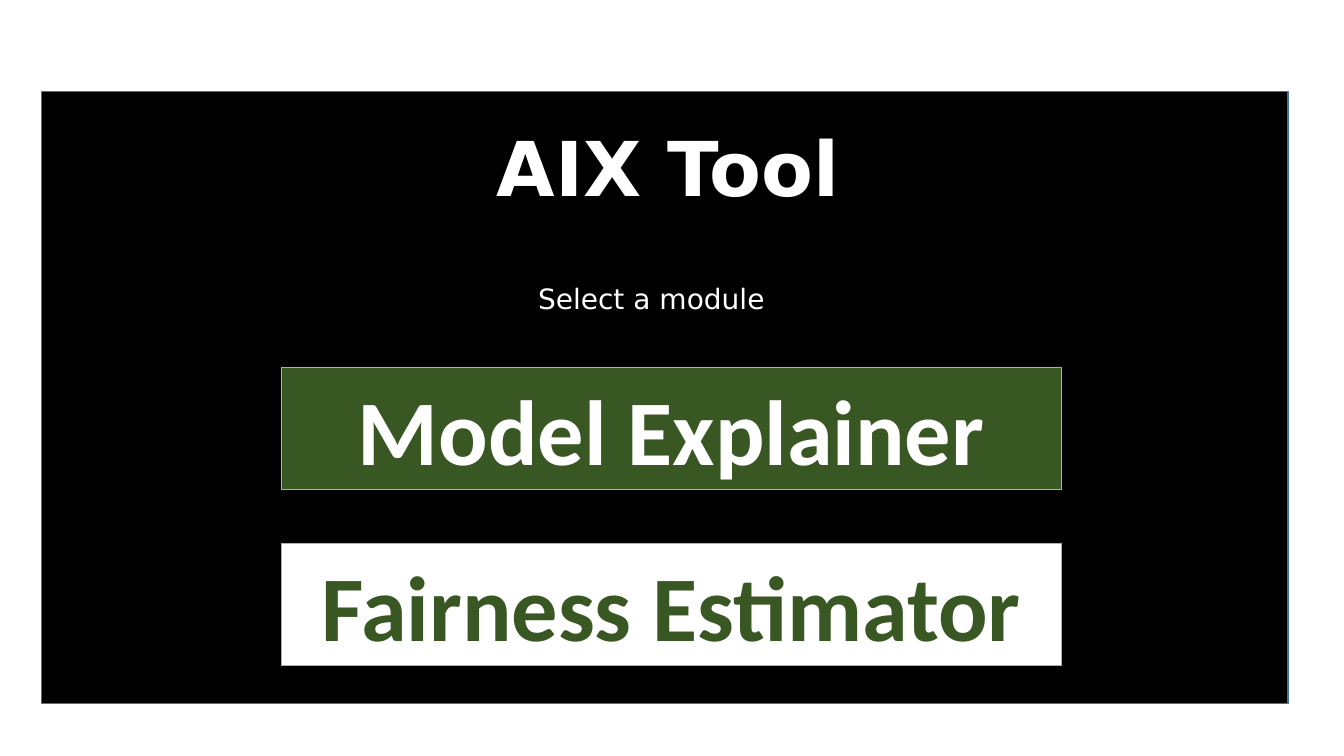
import pptx
import pptx.dml.color
import pptx.enum.shapes
import pptx.enum.text
import pptx.util

Cm = pptx.util.Cm
Pt = pptx.util.Pt
Align = pptx.enum.text.PP_ALIGN

WHITE, BLACK, GREEN, LIME, BLUE = "FFFFFF", "000000", "385723", "92D050", "43739E"


def color(hex_code):
    return pptx.dml.color.RGBColor.from_string(hex_code)


class ModuleMenu:
    """Holds the fonts and the slide, and draws its elements."""

    heading_font = "DejaVu Sans"
    button_font = "Calibri"

    def __init__(self, slide):
        self.slide = slide

    def add_words(self, shape, words, font, size, hex_code, bold=False, align=Align.CENTER):
        frame = shape.text_frame
        frame.word_wrap = True
        frame.auto_size = pptx.enum.text.MSO_AUTO_SIZE.SHAPE_TO_FIT_TEXT
        paragraph = frame.paragraphs[0]
        paragraph.alignment = align
        run = paragraph.add_run()
        run.text = words
        for name, value in {"name": font, "size": Pt(size), "bold": bold}.items():
            setattr(run.font, name, value)
        run.font.color.rgb = color(hex_code)

    def panel(self, left, top, width, height, fill, line, line_width):
        shape = self.slide.shapes.add_shape(
            pptx.enum.shapes.MSO_SHAPE.RECTANGLE, Cm(left), Cm(top), Cm(width), Cm(height))
        shape.shadow.inherit = False
        shape.fill.solid()
        shape.fill.fore_color.rgb = color(fill)
        shape.line.color.rgb = color(line)
        shape.line.width = Pt(line_width)
        return shape

    def label(self, left, top, width, height, words, size, **style):
        box = self.slide.shapes.add_textbox(Cm(left), Cm(top), Cm(width), Cm(height))
        self.add_words(box, words, self.heading_font, size, WHITE, **style)

    def button(self, top, words, fill, text_color):
        shape = self.panel(7.09, top, 19.66, 3.07, fill, LIME, 0.75)
        self.add_words(shape, words, self.button_font, 66, text_color, bold=True)


def main():
    deck = pptx.Presentation()
    deck.slide_width, deck.slide_height = Cm(33.87), Cm(19.05)
    menu = ModuleMenu(deck.slides.add_slide(deck.slide_layouts[6]))

    # Screen and its title
    menu.panel(1.04, 2.31, 31.42, 15.42, BLACK, BLUE, 1)
    menu.label(6.68, 2.92, 20.32, 2.57, "AIX Tool", 54, bold=True)

    # Module buttons
    modules = [("Model Explainer", GREEN, WHITE), ("Fairness Estimator", WHITE, GREEN)]
    for row, (module, fill, text_color) in enumerate(modules):
        menu.button(9.27 + row * 4.42, module, fill, text_color)

    # Prompt
    menu.label(13.31, 6.96, 10.9, 1.12, "Select a module", 20, align=Align.LEFT)

    deck.save("out.pptx")


if __name__ == "__main__":
    main()
